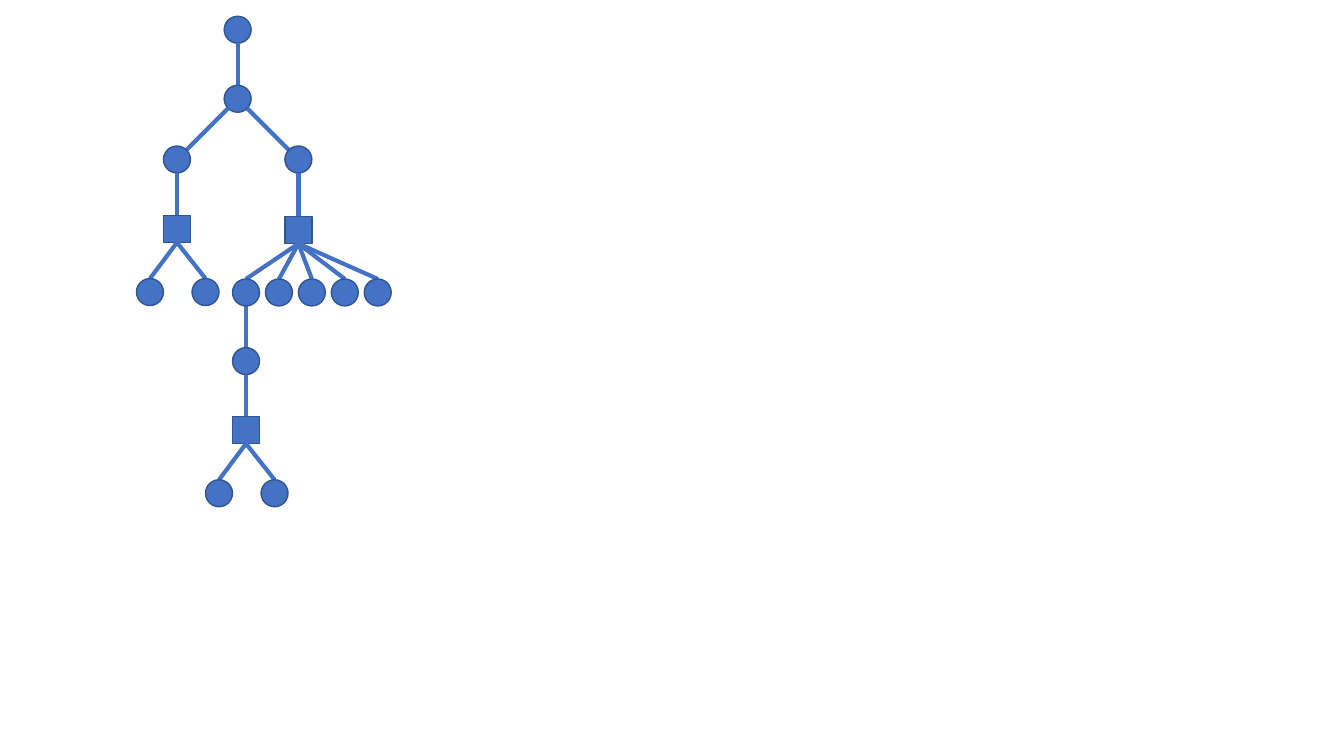
"""Build a slide with a tree of round and square nodes."""
from dataclasses import dataclass
from math import sqrt

from lxml import etree
from pptx import Presentation
from pptx.dml.color import RGBColor
from pptx.enum.shapes import MSO_CONNECTOR, MSO_SHAPE
from pptx.oxml.ns import qn
from pptx.util import Cm, Pt

CIRCLE = MSO_SHAPE.OVAL
SQUARE = MSO_SHAPE.RECTANGLE
STRAIGHT = MSO_CONNECTOR.STRAIGHT


@dataclass(frozen=True)
class Theme:
    fill: RGBColor = RGBColor(0x44, 0x72, 0xC4)
    outline: RGBColor = RGBColor(0x32, 0x54, 0x91)
    outline_width: float = 1
    branch_width: float = 3


THEME = Theme()
NODE_SIZE = 0.68

# name: (parent, preset, centre x, centre y)
NODES = {
    "root": (None, CIRCLE, 5.99, 0.75),
    "fork": ("root", CIRCLE, 5.99, 2.49),
    "left": ("fork", CIRCLE, 4.46, 4.02),
    "right": ("fork", CIRCLE, 7.52, 4.02),
    "left square": ("left", SQUARE, 4.46, 5.77),
    "right square": ("right", SQUARE, 7.52, 5.8),
    "lower": ("first leaf", CIRCLE, 6.2, 9.1),
    "lower square": ("lower", SQUARE, 6.2, 10.84),
}
# parent: (leaf names, first centre x, step, centre y)
LEAF_ROWS = {
    "left square": (("far left leaf", "near left leaf"), 3.78, 1.4, 7.36),
    "right square": (
        ("first leaf", "second leaf", "third leaf", "fourth leaf", "fifth leaf"),
        6.2, 0.83, 7.37),
    "lower square": (("lower left leaf", "lower right leaf"), 5.52, 1.4, 12.43),
}


def all_nodes():
    nodes = dict(NODES)
    for parent, (names, first_x, step, y) in LEAF_ROWS.items():
        for index, name in enumerate(names):
            nodes[name] = (parent, CIRCLE, first_x + index * step, y)
    return nodes


def branch_ends(parent, child):
    _, parent_preset, x1, y1 = parent
    _, child_preset, x2, y2 = child
    radius = NODE_SIZE / 2
    side, drop = 0, radius
    if x1 != x2 and parent_preset == child_preset == CIRCLE:
        drop = radius / sqrt(2)
        side = drop if x2 > x1 else -drop
    return x1 + side, y1 + drop, x2 - side, y2 - drop


def add_branch(shapes, parent, child):
    ends = [Cm(length) for length in branch_ends(parent, child)]
    branch = shapes.add_connector(STRAIGHT, *ends)
    branch.line.color.rgb = THEME.fill
    branch.line.width = Pt(THEME.branch_width)
    etree.SubElement(branch._element.spPr, qn("a:effectLst"))


def add_node(shapes, preset, x, y):
    size = Cm(NODE_SIZE)
    node = shapes.add_shape(
        preset, Cm(x - NODE_SIZE / 2), Cm(y - NODE_SIZE / 2), size, size)
    node.shadow.inherit = False
    node.fill.solid()
    node.fill.fore_color.rgb = THEME.fill
    node.line.color.rgb = THEME.outline
    node.line.width = Pt(THEME.outline_width)


deck = Presentation()
deck.slide_width, deck.slide_height = Cm(33.87), Cm(19.05)
page = deck.slides.add_slide(deck.slide_layouts[6])
nodes = all_nodes()
for node in nodes.values():
    parent, preset, x, y = node
    if parent:
        add_branch(page.shapes, nodes[parent], node)
    add_node(page.shapes, preset, x, y)
deck.save("out.pptx")
